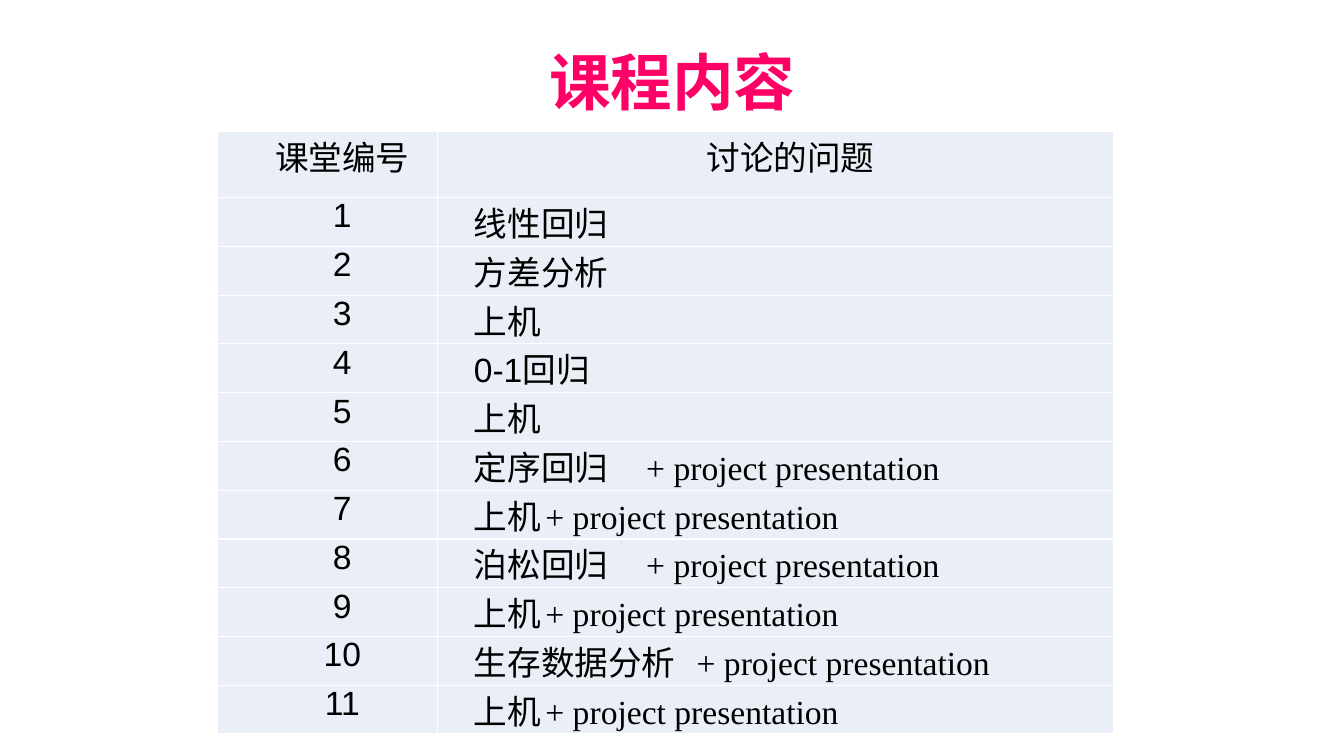
from lxml import etree
from pptx import Presentation
from pptx.dml.color import RGBColor
from pptx.enum.text import MSO_ANCHOR, MSO_AUTO_SIZE, PP_ALIGN
from pptx.oxml.ns import qn
from pptx.util import Pt

SCALE = 9144
CENTER, LEFT = PP_ALIGN.CENTER, PP_ALIGN.LEFT
MIDDLE, TOP = MSO_ANCHOR.MIDDLE, MSO_ANCHOR.TOP
NO_FIT = MSO_AUTO_SIZE.NONE
COLORS = {"title": "FF0066", "text": "000000", "cell": "EAEFF7", "line": "FFFFFF"}
HEAD = ("课堂编号", "讨论的问题")
TOPICS = [
    ("线性回归", None),
    ("方差分析", None),
    ("上机", None),
    ("0-1回归", None),
    ("上机", None),
    ("定序回归", 262),
    ("上机", 248),
    ("泊松回归", 262),
    ("上机", 248),
    ("生存数据分析", 277),
    ("上机", 248),
]
WIDTHS = (218, 671)
HEIGHTS = [66] + [33] * 8 + [44] * 2 + [33]


def px(count):
    return count * SCALE


def add_run(para, text, font, size, color, bold=False):
    run = para.add_run()
    run.text = text
    run.font.name = font
    run.font.size = Pt(size)
    run.font.bold = bold
    run.font.color.rgb = RGBColor.from_string(COLORS[color])


def add_title(slide, text):
    title = slide.shapes.title
    title.left, title.top, title.width, title.height = map(px, (92, 40, 1150, 90))
    frame = title.text_frame
    frame.auto_size = NO_FIT
    frame.vertical_anchor = MIDDLE
    para = frame.paragraphs[0]
    para.alignment = CENTER
    para.line_spacing = 0.9
    add_run(para, text, "Calibri", 44, "title", True)


def add_lines(cell):
    props = cell._tc.get_or_add_tcPr()
    for side in ("lnL", "lnR", "lnT", "lnB"):
        line = etree.SubElement(props, qn("a:" + side), w=str(Pt(1)))
        fill = etree.SubElement(line, qn("a:solidFill"))
        etree.SubElement(fill, qn("a:srgbClr"), val=COLORS["line"])


def add_tab(para, stop):
    tabs = etree.SubElement(para._p.get_or_add_pPr(), qn("a:tabLst"))
    etree.SubElement(tabs, qn("a:tab"), pos=str(px(stop)), algn="l")


def fill_cell(cell, text, align, stop=None):
    add_lines(cell)
    cell.fill.solid()
    cell.fill.fore_color.rgb = RGBColor.from_string(COLORS["cell"])
    cell.margin_left = cell.margin_right = px(7)
    cell.margin_top = cell.margin_bottom = 0
    cell.vertical_anchor = TOP
    para = cell.text_frame.paragraphs[0]
    para.alignment = align
    props = para._p.get_or_add_pPr()
    props.set("marL", "0")
    props.set("indent", str(px(29)))
    add_run(para, text, "Arial", 24, "text")
    if stop:
        add_tab(para, stop)
        add_run(para, "\t+ project presentation", "Times New Roman", 24, "text")


def add_plan(slide):
    shape = slide.shapes.add_table(
        len(HEIGHTS), len(WIDTHS), px(216), px(130), px(sum(WIDTHS)), px(sum(HEIGHTS))
    )
    table = shape.table
    table.first_row = table.horz_banding = False
    for col, width in zip(table.columns, WIDTHS):
        col.width = px(width)
    for row, height in zip(table.rows, HEIGHTS):
        row.height = px(height)
    for col, text in enumerate(HEAD):
        fill_cell(table.cell(0, col), text, CENTER)
    for row, (topic, stop) in enumerate(TOPICS, 1):
        fill_cell(table.cell(row, 0), str(row), CENTER)
        fill_cell(table.cell(row, 1), topic, LEFT, stop)


def main():
    deck = Presentation()
    deck.slide_width, deck.slide_height = px(1333), px(750)
    slide = deck.slides.add_slide(deck.slide_layouts[5])
    add_title(slide, "课程内容")
    add_plan(slide)
    deck.save("out.pptx")


if __name__ == "__main__":
    main()
